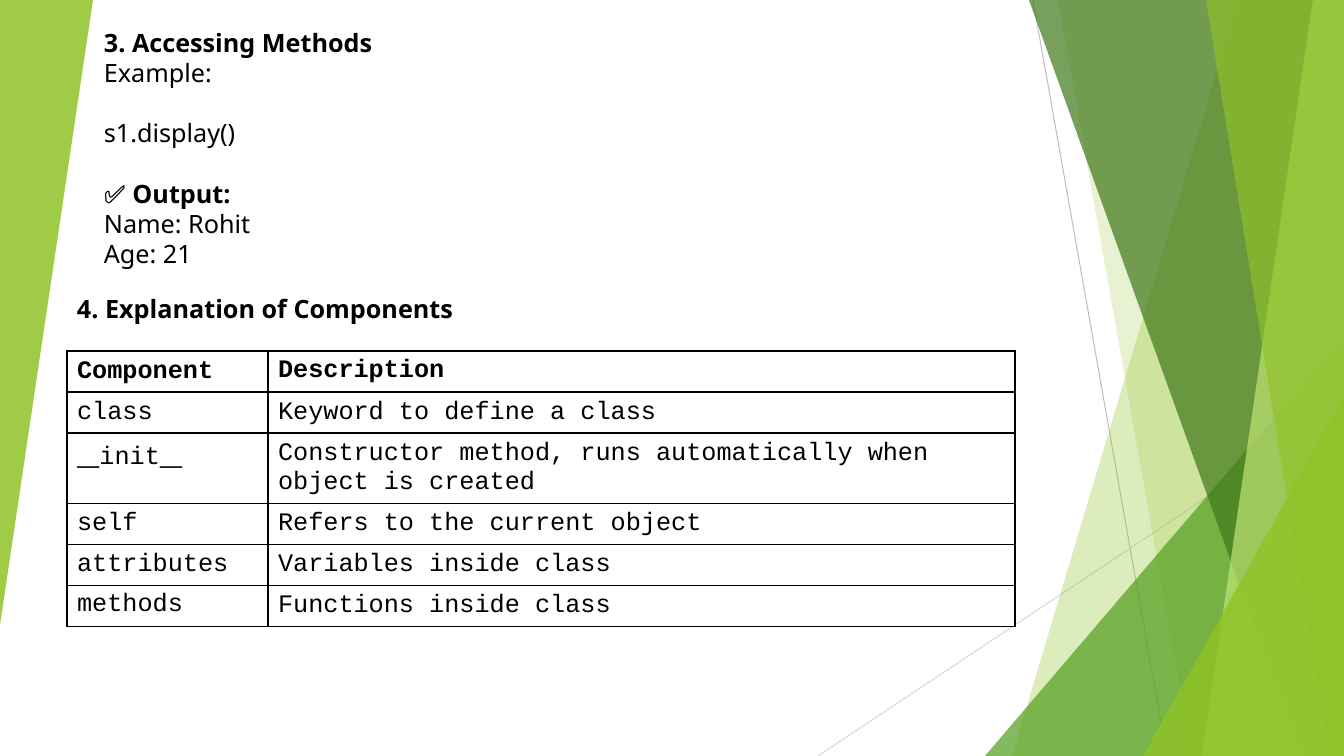
from lxml.etree import SubElement
from pptx import Presentation
from pptx.dml.color import RGBColor
from pptx.enum.shapes import MSO_CONNECTOR, MSO_SHAPE
from pptx.enum.text import MSO_ANCHOR
from pptx.oxml.ns import qn
from pptx.util import Emu, Pt

PX = 914400 / 100.8
WIDTH, HEIGHT = 1344, 756
COLORS = {
    "text": "000000", "border": "000000", "cell": "FFFFFF",
    "ray": "BFBFBF", "pale_ray": "D9D9D9",
    "lime": "90C226", "green": "54A021", "forest": "3F7819", "mint": "C0E474",
}
BODY, CODE = "Noto Sans", "Courier New"
SIZE, LINE = Pt(18), Pt(21.6)

RAYS = [((1033, 0), (1167, HEIGHT), "ray"), ((WIDTH, 406), (818, HEIGHT), "pale_ray")]
# Bands reach the right edge: top-left x, bottom-left x, colour, opacity %
BACK_BANDS = [(1238, 1012, "lime", 30), (1058, 1192, "lime", 20)]
FRONT_BANDS = [(1029, 1301, "forest", 70), (1313, 1202, "mint", 70), (1206, 1329, "lime", 65)]
# Wedges: left, top, width, height, rotation, colour, opacity %
BACK_WEDGE = (985, 336, 359, 420, 0, "green", 72)
FRONT_WEDGES = [(1143, 396, 201, 360, 0, "lime", 80), (0, 0, 93, 625, 180, "lime", 85)]

# Lines: text, bold, blank lines above
METHODS = [
    ("3. Accessing Methods", True, 0),
    ("Example:", False, 0),
    ("s1.display()", False, 1),
    ("✅ Output:", True, 1),
    ("Name: Rohit", False, 0),
    ("Age: 21", False, 0),
]
HEADING = [("4. Explanation of Components", True, 0)]
COMPONENTS = [
    ("Component", "Description"),
    ("class", "Keyword to define a class"),
    ("__init__", "Constructor method, runs automatically when object is created"),
    ("self", "Refers to the current object"),
    ("attributes", "Variables inside class"),
    ("methods", "Functions inside class"),
]
COLUMN_WIDTHS = [201, 747]
ROW_HEIGHTS = [41, 41, 70, 41, 41, 41]
TOP_CELLS = {(0, 1), (2, 0), (5, 0)}


def px(*lengths):
    return [Emu(round(length * PX)) for length in lengths]


def rgb(name):
    return RGBColor.from_string(COLORS[name])


def paint(shape, color, opacity):
    shape.shadow.inherit = False
    shape.line.fill.background()
    shape.fill.solid()
    shape.fill.fore_color.rgb = rgb(color)
    tint = shape.fill._xPr.find(qn("a:solidFill"))[0]
    SubElement(tint, qn("a:alpha"), val=str(opacity * 1000))


def add_ray(start, end, color):
    ray = slide.shapes.add_connector(MSO_CONNECTOR.STRAIGHT, *px(*start, *end))
    ray.line.color.rgb = rgb(color)
    ray.line.width = Pt(0.75)
    SubElement(ray._element.spPr, qn("a:effectLst"))


def add_band(top_x, bottom_x, color, opacity):
    outline = slide.shapes.build_freeform(top_x, 0, scale=PX)
    outline.add_line_segments([(WIDTH, 0), (WIDTH, HEIGHT), (bottom_x, HEIGHT)], close=True)
    paint(outline.convert_to_shape(), color, opacity)


def add_wedge(left, top, width, height, rotation, color, opacity):
    wedge = slide.shapes.add_shape(MSO_SHAPE.ISOSCELES_TRIANGLE, *px(left, top, width, height))
    wedge.adjustments[0] = 1
    wedge.rotation = rotation
    paint(wedge, color, opacity)


def add_run(paragraph, text, font, bold):
    run = paragraph.add_run()
    run.text = text
    run.font.name, run.font.size, run.font.bold = font, SIZE, bold
    run.font.color.rgb = rgb("text")


def add_text(box, lines):
    frame = slide.shapes.add_textbox(*px(*box)).text_frame
    frame.word_wrap = True
    for i, (text, bold, gap) in enumerate(lines):
        paragraph = frame.add_paragraph() if i else frame.paragraphs[0]
        paragraph.line_spacing = LINE
        paragraph.space_before = gap * LINE
        add_run(paragraph, text, BODY, bold)


def add_borders(cell):
    properties = cell._tc.get_or_add_tcPr()
    for i, side in enumerate(("lnL", "lnR", "lnT", "lnB")):
        border = properties.makeelement(qn(f"a:{side}"), {"w": str(Pt(1))})
        fill = SubElement(border, qn("a:solidFill"))
        SubElement(fill, qn("a:srgbClr"), val=COLORS["border"])
        properties.insert(i, border)


def add_components(left, top):
    frame = slide.shapes.add_table(
        len(COMPONENTS), len(COLUMN_WIDTHS),
        *px(left, top, sum(COLUMN_WIDTHS), sum(ROW_HEIGHTS)))
    table = frame.table
    for column, width in zip(table.columns, px(*COLUMN_WIDTHS)):
        column.width = width
    for row, height in zip(table.rows, px(*ROW_HEIGHTS)):
        row.height = height
    for r, row in enumerate(COMPONENTS):
        for c, text in enumerate(row):
            cell = table.cell(r, c)
            cell.fill.solid()
            cell.fill.fore_color.rgb = rgb("cell")
            add_borders(cell)
            top_aligned = (r, c) in TOP_CELLS
            cell.vertical_anchor = MSO_ANCHOR.TOP if top_aligned else MSO_ANCHOR.MIDDLE
            paragraph = cell.text_frame.paragraphs[0]
            if text.startswith("__"):
                for part, font in (("__", BODY), (text.strip("_"), CODE), ("__", BODY)):
                    add_run(paragraph, part, font, False)
            else:
                add_run(paragraph, text, CODE, r == 0)


deck = Presentation()
deck.slide_width, deck.slide_height = px(WIDTH, HEIGHT)
slide = deck.slides.add_slide(deck.slide_layouts[6])

for ray in RAYS:
    add_ray(*ray)
for band in BACK_BANDS:
    add_band(*band)
add_wedge(*BACK_WEDGE)
for band in FRONT_BANDS:
    add_band(*band)
for wedge in FRONT_WEDGES:
    add_wedge(*wedge)
add_text((94, 22, 918, 285), METHODS)
add_text((67, 288, 999, 40), HEADING)
add_components(67, 351)
deck.save("out.pptx")
